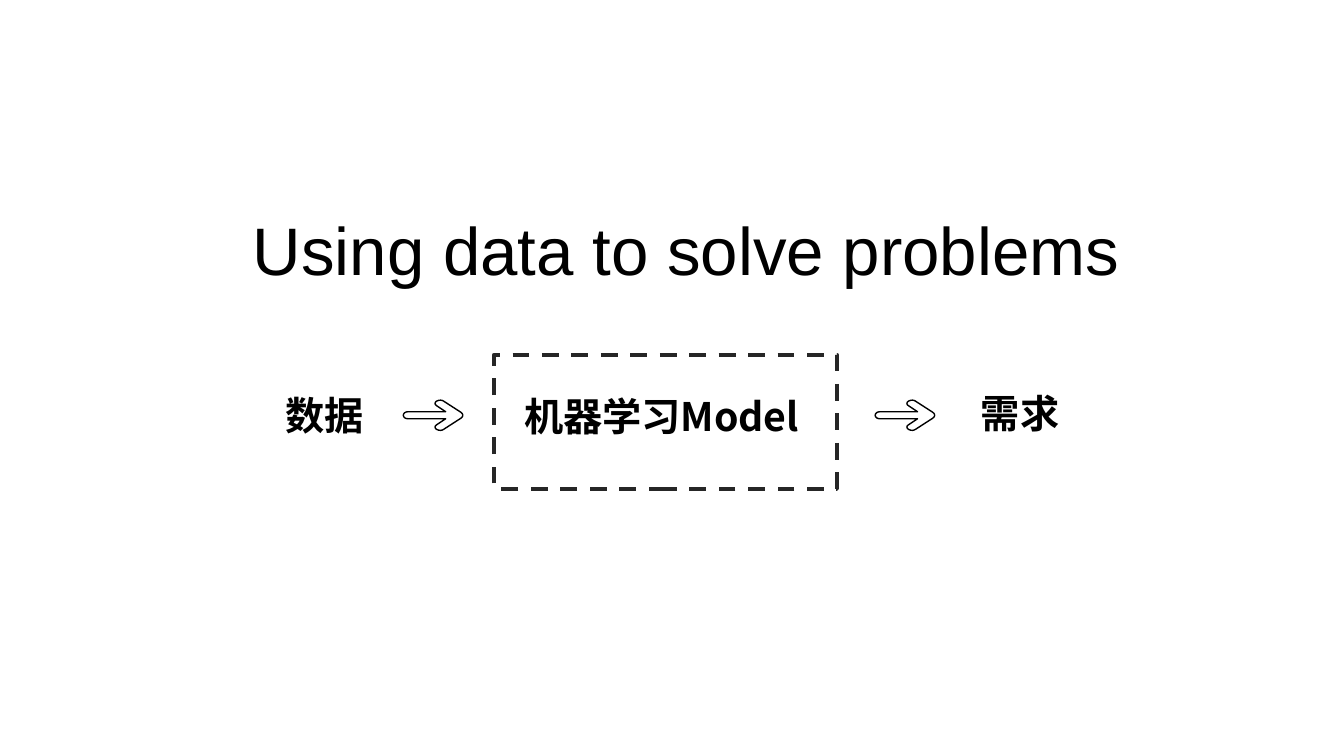
from lxml import etree
from pptx import Presentation
from pptx.dml.color import RGBColor
from pptx.enum.dml import MSO_LINE
from pptx.enum.shapes import MSO_SHAPE
from pptx.enum.text import MSO_AUTO_SIZE
from pptx.oxml.ns import qn
from pptx.util import Pt

PX = 9144  # EMU per px, 100 px to the inch
BLACK = RGBColor(0x00, 0x00, 0x00)
WHITE = RGBColor(0xFF, 0xFF, 0xFF)
DARK = RGBColor(0x26, 0x26, 0x26)
RECT, DASH, FIT = MSO_SHAPE.RECTANGLE, MSO_LINE.DASH, MSO_AUTO_SIZE.SHAPE_TO_FIT_TEXT
LATIN, CJK = "Arial", "Noto Sans CJK SC"

# Upper half of the arrow in tenths of a px, from tail to tip, about its axis
HALF = [(0, 0), (4, -14), (14, -25), (28, -32), (45, -35),
        (420, -35), (330, -95), (318, -106), (315, -117), (319, -130),
        (330, -140), (350, -148), (370, -150), (386, -147), (400, -140),
        (570, -30), (582, -20), (588, -10), (590, 0)]


def add_text(slide, text, x, y, w, h, size=28, font=CJK, bold=True, wrap=True):
    frame = slide.shapes.add_textbox(x * PX, y * PX, w * PX, h * PX).text_frame
    frame.word_wrap = wrap
    frame.auto_size = FIT
    run = frame.paragraphs[0].add_run()
    run.text = text
    run.font.name, run.font.size, run.font.bold = font, Pt(size), bold
    run.font.color.rgb = BLACK
    # East Asian glyphs take their own typeface entry
    east = etree.SubElement(run.font._element, qn("a:ea"))
    east.set("typeface", font)


def set_line(shape, color, width):
    shape.shadow.inherit = False
    shape.line.color.rgb = color
    shape.line.width = Pt(width)


def add_frame(slide, x, y, w, h):
    box = slide.shapes.add_shape(RECT, x * PX, y * PX, w * PX, h * PX)
    box.fill.background()
    set_line(box, DARK, 3)
    box.line.dash_style = DASH


def add_arrow(slide, x, mid):
    lower = [(dx, -dy) for dx, dy in reversed(HALF[1:-1])]
    pen = slide.shapes.build_freeform(*HALF[0], scale=PX / 10)
    pen.add_line_segments(HALF[1:] + lower, close=True)
    arrow = pen.convert_to_shape(x * PX, mid * PX)
    arrow.fill.solid()
    arrow.fill.fore_color.rgb = WHITE
    set_line(arrow, BLACK, 1)


def main():
    prs = Presentation()
    prs.slide_width, prs.slide_height = 1333 * PX, 750 * PX
    slide = prs.slides.add_slide(prs.slide_layouts[6])

    # Title
    add_text(slide, "Using data to solve problems", 241, 202, 880, 91,
             size=48, font=LATIN, bold=False, wrap=False)

    # Model in its dashed frame
    add_frame(slide, 490, 352, 340, 133)
    add_text(slide, "机器学习Model", 510, 384, 323, 57)

    # Data in, needs out
    add_text(slide, "数据", 273, 383, 106, 57)
    for x in (400, 868):
        add_arrow(slide, x, 412)
    add_text(slide, "需求", 963, 381, 118, 57)

    prs.save("out.pptx")


if __name__ == "__main__":
    main()
